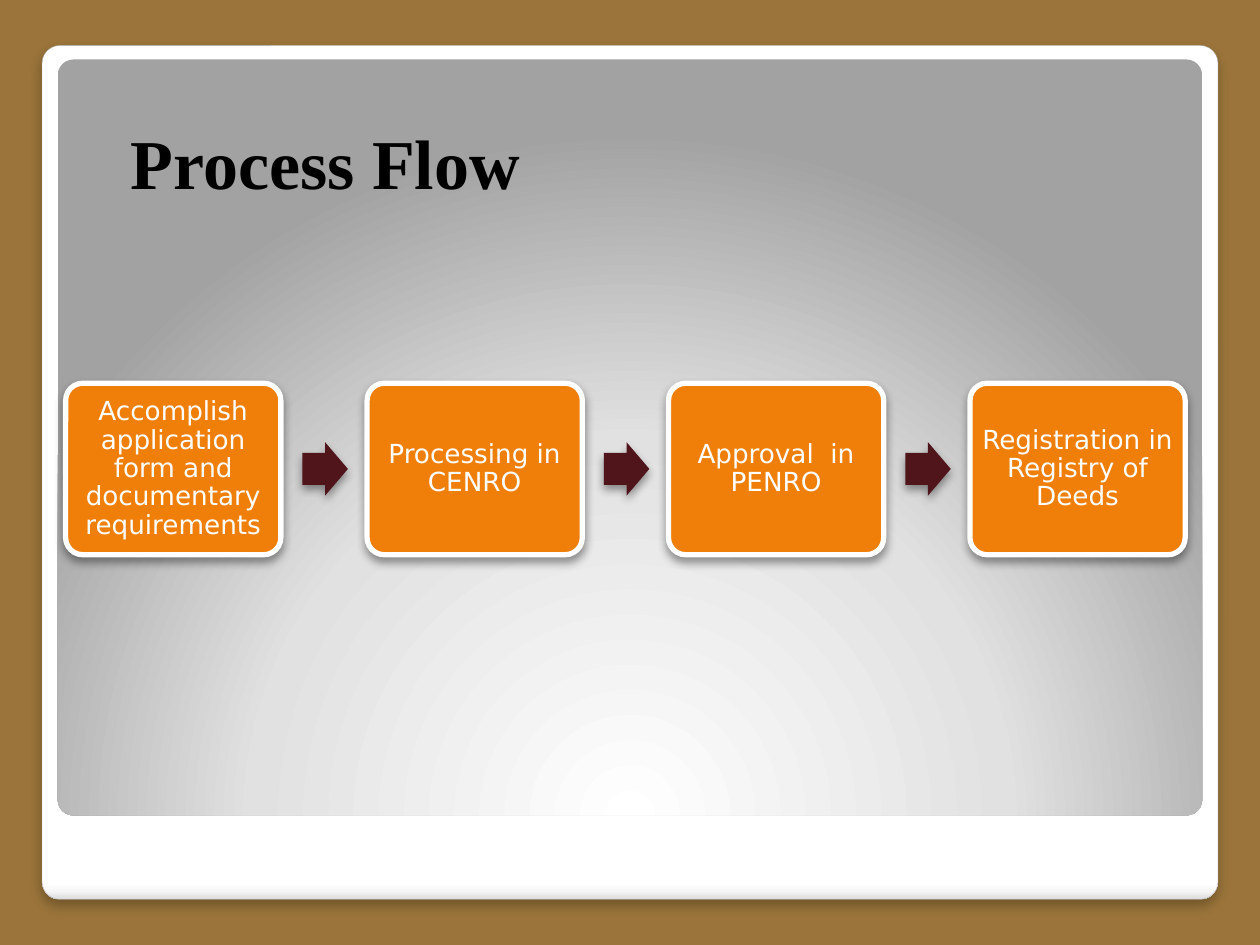
from lxml.etree import SubElement
from pptx import Presentation
from pptx.dml.color import RGBColor
from pptx.enum.shapes import MSO_SHAPE
from pptx.enum.text import MSO_ANCHOR, PP_ALIGN
from pptx.oxml import parse_xml
from pptx.oxml.ns import nsdecls, qn
from pptx.util import Pt

BROWN = RGBColor(0x9A, 0x74, 0x3A)
ORANGE = RGBColor(0xF0, 0x7F, 0x09)
MAROON = RGBColor(0x50, 0x14, 0x1B)
GREY = RGBColor(0xA4, 0xA4, 0xA4)
WHITE = RGBColor(0xFF, 0xFF, 0xFF)
BLACK = RGBColor(0x00, 0x00, 0x00)

STEPS = [
    "Accomplish application form and documentary requirements",
    "Processing in CENRO",
    "Approval  in PENRO",
    "Registration in Registry of Deeds",
]
STEP_LEFT, STEP_TOP, STEP_WIDTH, STEP_HEIGHT = 37.5, 219, 123, 98
STEP_PITCH = 172.25
ARROW_OFFSET, ARROW_WIDTH, ARROW_HEIGHT = 135.3, 26, 30.5


def set_shadow(shape, opacity, blur, distance):
    shape.shadow.inherit = False
    effects = shape._element.spPr.find(qn("a:effectLst"))
    outer = SubElement(effects, qn("a:outerShdw"), blurRad=str(Pt(blur)),
                       dist=str(Pt(distance)), dir="5400000", rotWithShape="0")
    color = SubElement(outer, qn("a:srgbClr"), val="000000")
    SubElement(color, qn("a:alpha"), val=str(opacity * 1000))


def set_gradient(shape, stops, direction):
    stop_xml = "".join(
        f'<a:gs pos="{position * 1000}"><a:srgbClr val="{color}"/></a:gs>'
        for position, color in stops)
    shape._element.spPr.insert(2, parse_xml(
        f'<a:gradFill {nsdecls("a")} rotWithShape="1">'
        f"<a:gsLst>{stop_xml}</a:gsLst>{direction}</a:gradFill>"))


presentation = Presentation()
presentation.slide_width, presentation.slide_height = Pt(720), Pt(540)
slide = presentation.slides.add_slide(presentation.slide_layouts[5])
slide.background.fill.solid()
slide.background.fill.fore_color.rgb = BROWN
shapes = slide.shapes

frame = shapes.add_shape(MSO_SHAPE.ROUNDED_RECTANGLE, Pt(24), Pt(26), Pt(672), Pt(488))
frame.adjustments[0] = 0.021
set_gradient(frame, [(0, "FFFFFF"), (98, "FFFFFF"), (99, "F7F7F7"), (100, "DADADA")],
             '<a:lin ang="5400000" scaled="0"/>')
frame.line.color.rgb = GREY
frame.line.width = Pt(0.16)
set_shadow(frame, 25, 6, 4)

panel = shapes.add_shape(MSO_SHAPE.ROUNDED_RECTANGLE, Pt(33), Pt(34), Pt(654), Pt(432))
panel.adjustments[0] = 0.021
set_gradient(panel, [(0, "FFFFFF"), (55, "E1E1E1"), (100, "A2A2A2")],
             '<a:path path="circle">'
             '<a:fillToRect l="50000" t="175000" r="50000" b="-75000"/></a:path>')
panel.line.fill.background()
panel.shadow.inherit = False

for index, wording in enumerate(STEPS):
    left = STEP_LEFT + index * STEP_PITCH
    step = shapes.add_shape(MSO_SHAPE.ROUNDED_RECTANGLE, Pt(left), Pt(STEP_TOP),
                            Pt(STEP_WIDTH), Pt(STEP_HEIGHT))
    step.adjustments[0] = 0.1
    step.fill.solid()
    step.fill.fore_color.rgb = ORANGE
    step.line.color.rgb = WHITE
    step.line.width = Pt(3)
    set_shadow(step, 40, 5.2, 3)

    label = step.text_frame
    label.text = wording
    label.word_wrap = True
    label.vertical_anchor = MSO_ANCHOR.MIDDLE
    label.margin_left = label.margin_right = Pt(1.5)
    label.margin_top = label.margin_bottom = Pt(1.5)
    paragraph = label.paragraphs[0]
    paragraph.alignment = PP_ALIGN.CENTER
    paragraph.line_spacing = 0.9
    font = paragraph.runs[0].font
    font.name, font.size, font.color.rgb = "DejaVu Sans", Pt(15), WHITE

    if index < len(STEPS) - 1:
        arrow = shapes.add_shape(
            MSO_SHAPE.RIGHT_ARROW, Pt(left + ARROW_OFFSET),
            Pt(STEP_TOP + (STEP_HEIGHT - ARROW_HEIGHT) / 2),
            Pt(ARROW_WIDTH), Pt(ARROW_HEIGHT))
        arrow.adjustments[0], arrow.adjustments[1] = 0.6, 0.5
        arrow.fill.solid()
        arrow.fill.fore_color.rgb = MAROON
        arrow.line.fill.background()
        set_shadow(arrow, 40, 5.2, 3)

title = shapes.title
title.left, title.top, title.width, title.height = Pt(40.5), Pt(48), Pt(291), Pt(72)
title.text_frame.text = "Process Flow"
title.text_frame.vertical_anchor = MSO_ANCHOR.BOTTOM
heading = title.text_frame.paragraphs[0]
heading.alignment = PP_ALIGN.CENTER
font = heading.runs[0].font
font.name, font.size, font.bold, font.color.rgb = "Times New Roman", Pt(40), True, BLACK
shapes._spTree.append(title._element)

presentation.save("out.pptx")
